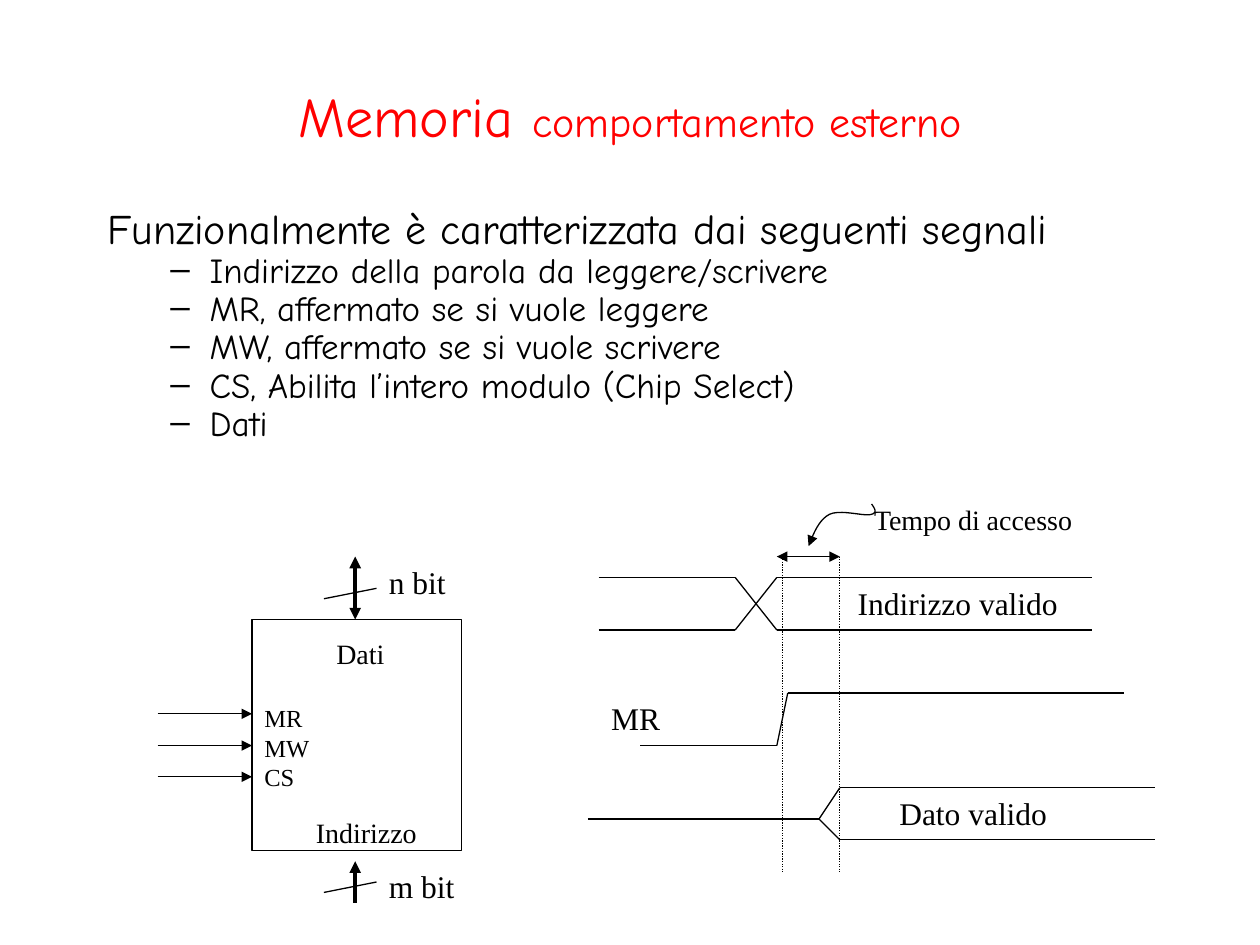
import pptx
import pptx.util
import pptx.dml.color
import pptx.enum.dml
import pptx.enum.shapes
import pptx.enum.text
import pptx.oxml.ns
from lxml import etree

Cm, Pt = pptx.util.Cm, pptx.util.Pt
qn = pptx.oxml.ns.qn
COLORS = {"title": "FF0000", "ink": "000000", "paper": "FFFFFF"}
SANS, SERIF = "Comic Neue", "Times New Roman"


def rgb(name):
    return pptx.dml.color.RGBColor.from_string(COLORS[name])


def style_line(sp, width=0.75, heads=()):
    sp.line.color.rgb = rgb("ink")
    sp.line.width = Pt(width)
    ln = sp.line._get_or_add_ln()
    for end in heads:
        etree.SubElement(ln, qn("a:" + end), type="triangle")
    sp_pr = sp._element.spPr
    if sp_pr.find(qn("a:effectLst")) is None:
        etree.SubElement(sp_pr, qn("a:effectLst"))


prs = pptx.Presentation()
prs.slide_width, prs.slide_height = Cm(25.4), Cm(19.05)
s = prs.slides.add_slide(prs.slide_layouts[1])

title, body = s.shapes.title, s.placeholders[1]
for sp, top, height in [(title, 1.06, 2.54), (body, 4.23, 5.08)]:
    sp.left, sp.top, sp.width, sp.height = Cm(1.91), Cm(top), Cm(21.59), Cm(height)
    sp.text_frame.auto_size = pptx.enum.text.MSO_AUTO_SIZE.NONE

p = title.text_frame.paragraphs[0]
for text, size in [("Memoria ", 32), ("comportamento esterno", 24)]:
    r = p.add_run()
    r.text = text
    r.font.name, r.font.size = SANS, Pt(size)
    r.font.color.rgb = rgb("title")

tf = body.text_frame
tf.text = "\n".join([
    "Funzionalmente è caratterizzata dai seguenti segnali",
    "Indirizzo della parola da leggere/scrivere",
    "MR, affermato se si vuole leggere",
    "MW, affermato se si vuole scrivere",
    "CS, Abilita l’intero modulo (Chip Select)",
    "Dati",
])
for i, p in enumerate(tf.paragraphs):
    p.level = 1 if i else 0
    pPr = p._p.get_or_add_pPr()
    pPr.set("marL", str(Cm(2.06 if i else 0.95)))
    pPr.set("indent", str(Cm(-0.79 if i else -0.95)))
    if i:
        etree.SubElement(pPr, qn("a:buChar"), char="–")
    else:
        etree.SubElement(pPr, qn("a:buNone"))
    p.line_spacing = 0.7
    p.space_before = Pt(5 if i else 0)
    r = p.runs[0]
    r.font.name, r.font.size = SANS, Pt(20 if i else 24)
    r.font.color.rgb = rgb("ink")

chip = s.shapes.add_shape(pptx.enum.shapes.MSO_SHAPE.RECTANGLE,
                          Cm(5.08), Cm(12.49), Cm(4.23), Cm(4.66))
chip.shadow.inherit = False
chip.fill.solid()
chip.fill.fore_color.rgb = rgb("paper")
chip.line.color.rgb = rgb("ink")
chip.line.width = Pt(0.75)

BOTH = ("headEnd", "tailEnd")
END = ("tailEnd",)
buses = [(7.16, 18.2, 7.16, 17.36, 2.25, END),
         (7.16, 12.49, 7.16, 11.22, 2.25, BOTH)]
slashes = [(7.59, y, 6.53, y + 0.21, 0.75, ()) for y in (17.78, 11.86)]
inputs = [(3.18, y, 5.08, y, 0.75, END) for y in (14.39, 15.03, 15.66)]
access = [(15.66, 11.22, 16.93, 11.22, 0.75, BOTH)]
waves = [
    [(12.07, 11.64), (14.82, 11.64), (15.66, 12.7), (22.01, 12.7)],
    [(12.07, 12.7), (14.82, 12.7), (15.66, 11.64), (22.01, 11.64)],
    [(12.91, 15.03), (15.66, 15.03), (15.88, 13.97), (22.65, 13.97)],
    [(11.85, 16.51), (16.51, 16.51), (16.93, 15.88), (23.28, 15.88)],
    [(16.51, 16.51), (16.93, 16.93), (23.28, 16.93)],
]
edges = [(*a, *b, 0.75, ()) for wave in waves for a, b in zip(wave, wave[1:])]
guides = [(x, 11.22, x, 17.57, 0.75, ()) for x in (15.77, 16.93)]
STRAIGHT = pptx.enum.shapes.MSO_CONNECTOR.STRAIGHT
for line in buses + slashes + inputs + access + edges + guides:
    x1, y1, x2, y2, width, heads = line
    cxn = s.shapes.add_connector(STRAIGHT, Cm(x1), Cm(y1), Cm(x2), Cm(y2))
    style_line(cxn, width, heads)
    if line in guides:
        cxn.line.dash_style = pptx.enum.dml.MSO_LINE.ROUND_DOT

curve = [(17.57, 10.16), (17.62, 10.24), (17.7, 10.33), (17.57, 10.37),
         (17.43, 10.42), (16.95, 10.26), (16.72, 10.37),
         (16.51, 10.48), (16.4, 10.75), (16.3, 11.01)]
STEPS = 10
points = []
for k in range(0, len(curve) - 1, 3):
    for t in [n / STEPS for n in range(1, STEPS + 1)]:
        weights = ((1 - t) ** 3, 3 * t * (1 - t) ** 2, 3 * t ** 2 * (1 - t), t ** 3)
        points.append([Cm(sum(w * c[axis] for w, c in zip(weights, curve[k:k + 4])))
                       for axis in (0, 1)])
builder = s.shapes.build_freeform(Cm(curve[0][0]), Cm(curve[0][1]))
builder.add_line_segments(points, close=False)
pointer = builder.convert_to_shape()
pointer.fill.background()
style_line(pointer, heads=END)

labels = [
    ("Indirizzo", 6.12, 16.31, 2.54, 0.94, 16),
    ("Dati", 6.53, 12.7, 1.47, 0.94, 16),
    ("MR\nMW\nCS", 5.08, 14.05, 1.42, 2.03, 14),
    ("m bit", 7.59, 17.36, 1.83, 1.02, 18),
    ("n bit", 7.59, 11.22, 1.65, 1.02, 18),
    ("Indirizzo valido", 17.04, 11.64, 4.55, 1.02, 18),
    ("Dato valido", 17.88, 15.88, 3.48, 1.02, 18),
    ("Tempo di accesso", 17.37, 10.01, 4.55, 0.94, 16),
    ("MR", 12.07, 13.97, 1.5, 1.02, 18),
]
for text, x, y, w, h, size in labels:
    tf = s.shapes.add_textbox(Cm(x), Cm(y), Cm(w), Cm(h)).text_frame
    tf.word_wrap = False
    tf.text = text
    for p in tf.paragraphs:
        r = p.runs[0]
        r.font.name, r.font.size = SERIF, Pt(size)
        r.font.color.rgb = rgb("ink")

prs.save("out.pptx")
